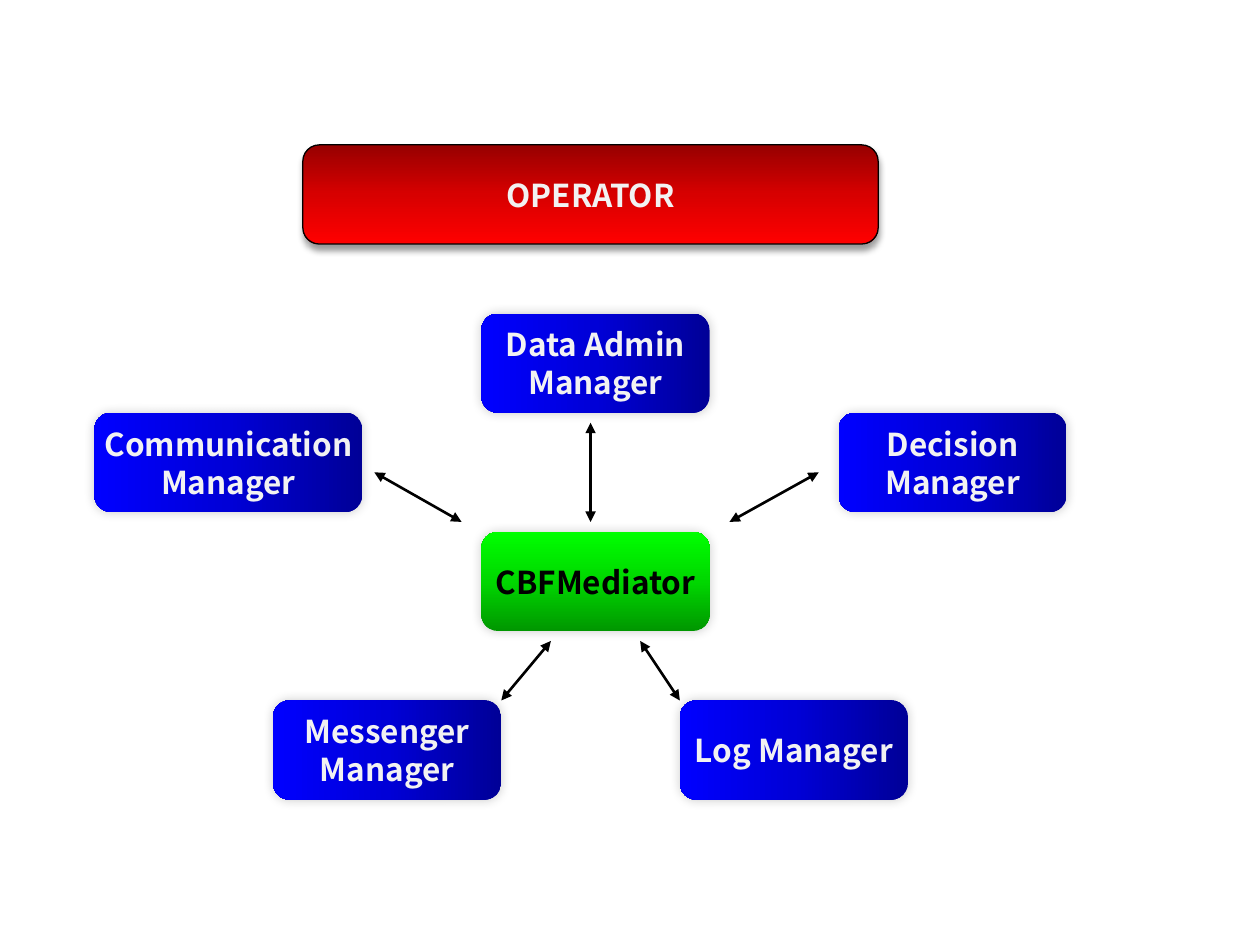
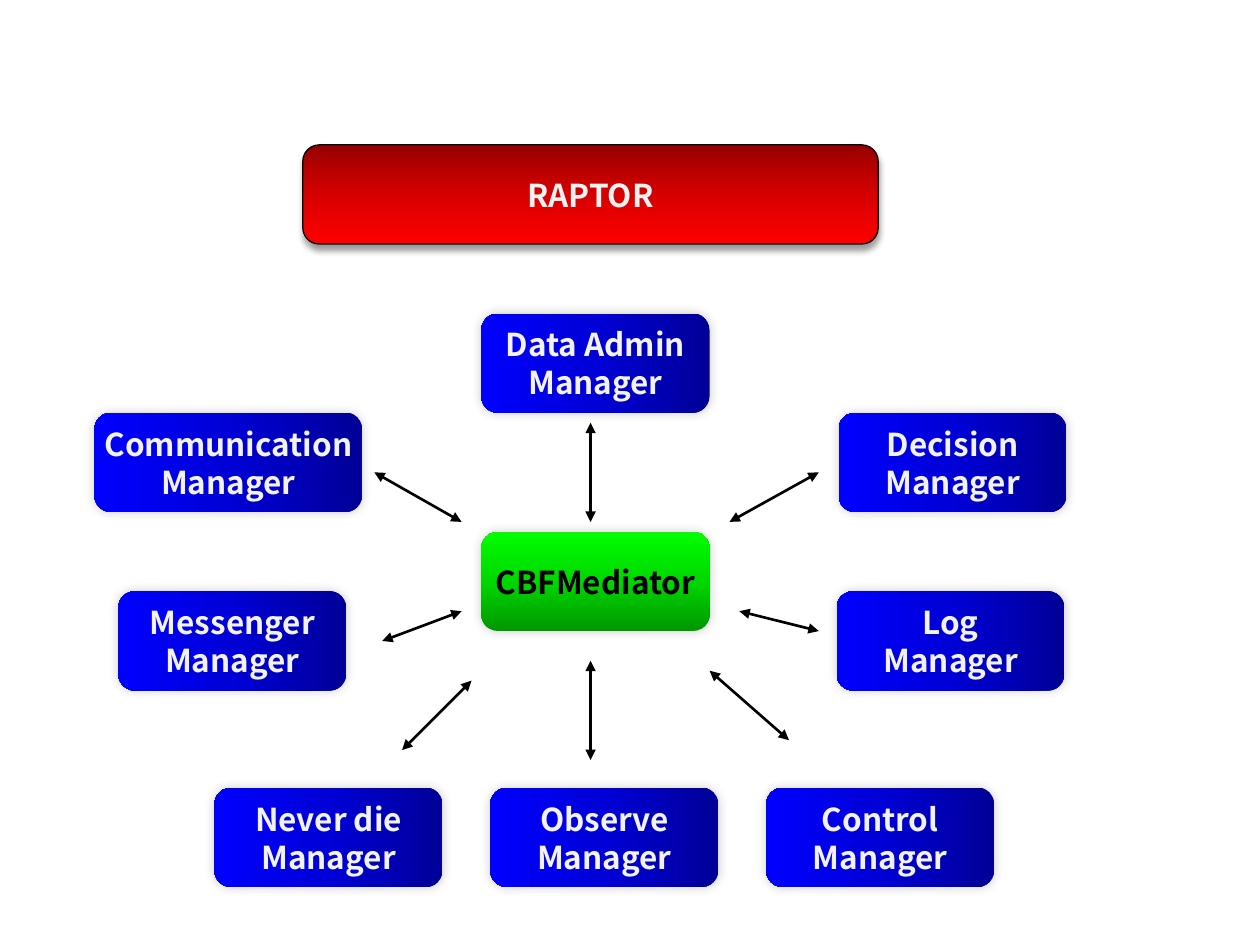
from pptx import Presentation
from pptx.dml.color import RGBColor as Rgb
from pptx.enum.shapes import MSO_CONNECTOR as Conn, MSO_SHAPE as Shape
from pptx.enum.text import MSO_ANCHOR as Anchor, PP_ALIGN as Align
from pptx.oxml.ns import qn
from pptx.util import Inches, Mm, Pt
from lxml.etree import SubElement as Sub

COLORS = {"black": "000000", "light": "F2F2F2"}
GRADIENTS = {
    "red": ("970000", "D70000", "FF0000"),
    "green": ("009700", "00D700", "00FF00"),
    "blue": ("000097", "0000D7", "0000FF"),
}
SOFT = {"alpha": 20, "blur": 6, "dist": 0, "dir": 315}
DROP = {"alpha": 40, "blur": 4, "dist": 3, "dir": 90}
STYLES = {
    "banner": {"fill": "red", "angle": 270, "text": "light", "shadow": DROP, "line": 0.75},
    "mediator": {"fill": "green", "angle": 90, "text": "black", "shadow": SOFT, "line": 0},
    "manager": {"fill": "blue", "angle": 180, "text": "light", "shadow": SOFT, "line": 0},
}
FONT = {"name": "Noto Sans CJK KR", "size": Pt(18), "bold": True}
PARAGRAPH = {"alignment": Align.CENTER, "line_spacing": Pt(21.7)}
FRAME = {"word_wrap": False, "vertical_anchor": Anchor.MIDDLE}

COLS, ROWS = 97, 75
NODE_W, NODE_H = 23, 10
DIAGRAM = (Inches(0.75), Inches(1.15), Mm(2 * COLS), Mm(2 * ROWS))

UPPER_MANAGERS = [
    ("Communication\nManager", 0, 27, 27),
    ("Data Admin\nManager", 39, 17, NODE_W),
    ("Decision\nManager", 75, 27, NODE_W),
]
UPPER_ARROWS = [(50, 28, 50, 38), (64, 38, 73, 33), (37, 38, 28.2, 33)]


def set_all(target, values):
    for name, value in values.items():
        setattr(target, name, value)


def at(box, col, row):
    left, top, width, height = box
    return int(left + width * col / COLS), int(top + height * row / ROWS)


def paint(s, style):
    s.fill.gradient()
    s.fill.gradient_angle = style["angle"]
    stops = s.fill._fill._gradFill.find(qn("a:gsLst"))
    for stop in list(stops):
        stops.remove(stop)
    for i, color in enumerate(GRADIENTS[style["fill"]]):
        stop = Sub(stops, qn("a:gs"), pos=str(i * 50000))
        Sub(stop, qn("a:srgbClr"), val=color)
    if style["line"]:
        s.line.color.rgb = Rgb.from_string(COLORS["black"])
        s.line.width = Pt(style["line"])
    else:
        s.line.fill.background()


def cast_shadow(s, alpha, blur, dist, dir):
    s.shadow.inherit = False
    effects = s._element.spPr.find(qn("a:effectLst"))
    shadow = Sub(effects, qn("a:outerShdw"), blurRad=str(Pt(blur)), dist=str(Pt(dist)),
                 dir=str(dir * 60000), algn="ctr", rotWithShape="0")
    color = Sub(shadow, qn("a:srgbClr"), val=COLORS["black"])
    Sub(color, qn("a:alpha"), val=str(alpha * 1000))


def write(s, text, color):
    tf = s.text_frame
    set_all(tf, FRAME)
    for i, line in enumerate(text.split("\n")):
        p = tf.add_paragraph() if i else tf.paragraphs[0]
        set_all(p, PARAGRAPH)
        r = p.add_run()
        r.text = line
        set_all(r.font, FONT)
        r.font.color.rgb = Rgb.from_string(COLORS[color])
        Sub(r._r.get_or_add_rPr(), qn("a:ea"), typeface=FONT["name"])


def add_node(slide, box, kind, text, col, row, cols=NODE_W):
    style = STYLES[kind]
    x, y = at(box, col, row)
    right, bottom = at(box, col + cols, row + NODE_H)
    s = slide.shapes.add_shape(Shape.ROUNDED_RECTANGLE, x, y, right - x, bottom - y)
    paint(s, style)
    cast_shadow(s, **style["shadow"])
    write(s, text, style["text"])


def add_arrow(slide, box, col1, row1, col2, row2):
    c = slide.shapes.add_connector(Conn.STRAIGHT, *at(box, col1, row1), *at(box, col2, row2))
    c.line.color.rgb = Rgb.from_string(COLORS["black"])
    c.line.width = Pt(1.5)
    ln = c.line._get_or_add_ln()
    for end in ("a:headEnd", "a:tailEnd"):
        Sub(ln, qn(end), type="triangle")
    Sub(c._element.spPr, qn("a:effectLst"))


def mediator_slide(prs, box, title, managers, arrows):
    slide = prs.slides.add_slide(prs.slide_layouts[6])
    add_node(slide, box, "mediator", "CBFMediator", 39, 39)
    for text, col, row, cols in UPPER_MANAGERS + managers:
        add_node(slide, box, "manager", text, col, row, cols)
    add_node(slide, box, "banner", title, 21, 0, 58)
    for ends in UPPER_ARROWS + arrows:
        add_arrow(slide, box, *ends)


prs = Presentation()
prs.slide_width, prs.slide_height = Inches(10), Inches(7.5)

mediator_slide(
    prs, DIAGRAM, "OPERATOR",
    [("Log Manager", 59, 56, NODE_W), ("Messenger\nManager", 18, 56, NODE_W)],
    [(41, 56, 46, 50), (59, 56, 55, 50)],
)

bottom_row = [
    (f"{name}\nManager", 12.1 + 27.8 * i, 64.8, NODE_W)
    for i, name in enumerate(("Never die", "Observe", "Control"))
]
mediator_slide(
    prs, DIAGRAM, "RAPTOR",
    [("Log\nManager", 74.8, 45, NODE_W), ("Messenger\nManager", 2.4, 45, NODE_W)] + bottom_row,
    [(73, 49, 65, 47), (29, 50, 37, 47), (31, 61, 38, 54), (70, 60, 62, 53), (50, 52, 50, 62)],
)

prs.save("out.pptx")
